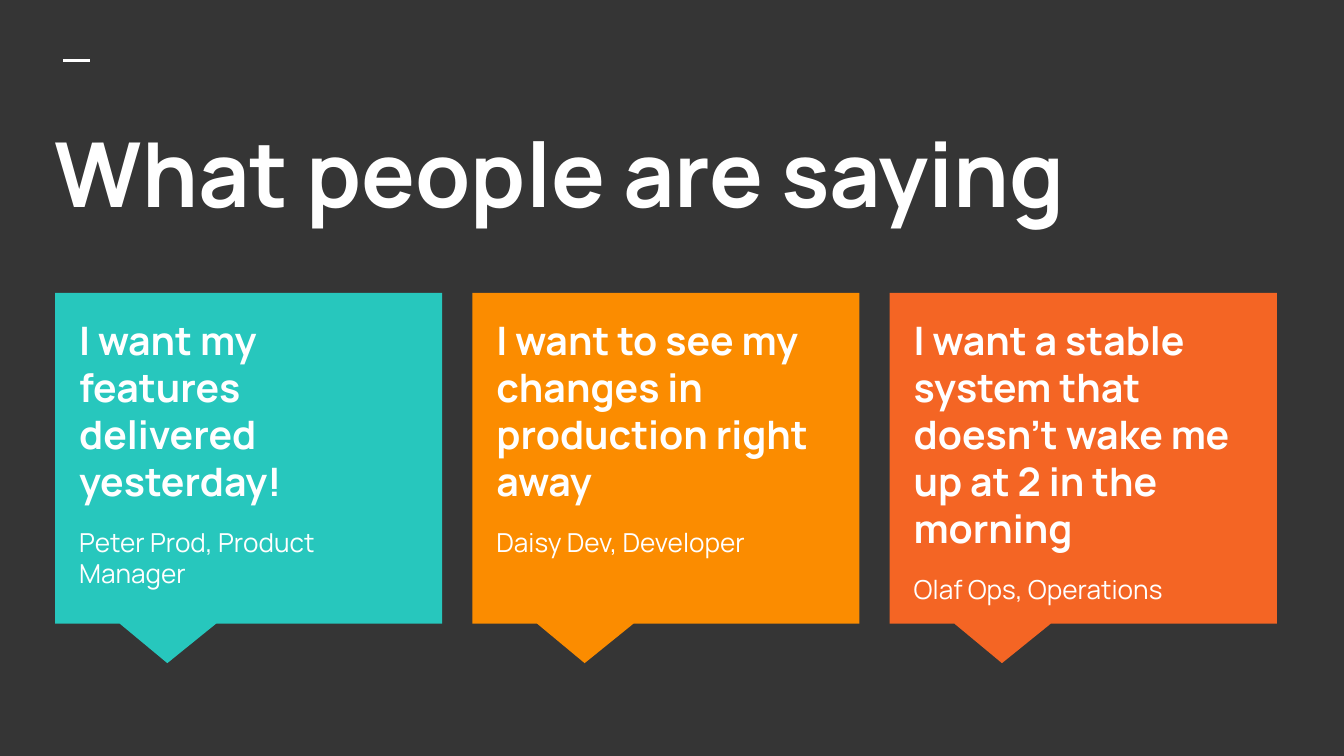
from dataclasses import dataclass

import pptx
import pptx.dml.color
import pptx.enum.shapes
import pptx.enum.text
import pptx.oxml.ns
import pptx.util
from lxml import etree

Inches = pptx.util.Inches
Pt = pptx.util.Pt
RGBColor = pptx.dml.color.RGBColor

CHARCOAL = RGBColor(0x35, 0x35, 0x35)
WHITE = RGBColor(0xFF, 0xFF, 0xFF)
TEAL = RGBColor(0x27, 0xC7, 0xBD)
AMBER = RGBColor(0xFB, 0x8C, 0x00)
ORANGE = RGBColor(0xF4, 0x65, 0x24)

FONT = "Manrope"
FIRST_LEFT = 0.41
LAST_LEFT = 6.62
CARD_TOP = 2.18
TEXT_INSET = 0.08


@dataclass
class Quote:
    words: str
    speaker: str
    color: RGBColor


QUOTES = [
    Quote("I want my features delivered yesterday!", "Peter Prod, Product Manager", TEAL),
    Quote("I want to see my changes in production right away", "Daisy Dev, Developer", AMBER),
    Quote("I want a stable system that doesn’t wake me up at 2 in the morning",
          "Olaf Ops, Operations", ORANGE),
]
CARD_STEP = (LAST_LEFT - FIRST_LEFT) / (len(QUOTES) - 1)


def add_text(page, left: float, top: float, width: float, height: float, text: str):
    box = page.shapes.add_textbox(Inches(left), Inches(top), Inches(width), Inches(height))
    frame = box.text_frame
    frame.word_wrap = True
    frame.vertical_anchor = pptx.enum.text.MSO_ANCHOR.TOP
    frame.margin_left = frame.margin_right = Inches(0.1)
    frame.margin_top = frame.margin_bottom = Inches(0.1)
    frame.text = text
    return frame


def style_paragraph(para, size: float, bold: bool) -> None:
    for span in para.runs:
        span.font.name = FONT
        span.font.size = Pt(size)
        span.font.bold = bold
        span.font.color.rgb = WHITE


def add_accent(page) -> None:
    accent = page.shapes.add_connector(
        pptx.enum.shapes.MSO_CONNECTOR.STRAIGHT,
        Inches(0.47), Inches(0.45), Inches(0.67), Inches(0.45))
    accent.line.color.rgb = WHITE
    accent.line.width = Pt(1.5)
    etree.SubElement(accent._element.spPr, pptx.oxml.ns.qn("a:effectLst"))


def add_title(page) -> None:
    frame = add_text(page, 0.31, 0.78, 9.43, 1.12, "What people are saying")
    style_paragraph(frame.paragraphs[0], 48, True)


def add_callout(page, quote: Quote, left: float) -> None:
    callout = page.shapes.add_shape(
        pptx.enum.shapes.MSO_SHAPE.RECTANGULAR_CALLOUT,
        Inches(left), Inches(CARD_TOP), Inches(2.88), Inches(2.46))
    callout.adjustments[0] = -0.21
    callout.adjustments[1] = 0.62
    callout.shadow.inherit = False
    callout.fill.solid()
    callout.fill.fore_color.rgb = quote.color
    callout.line.fill.background()


def add_quote(page, quote: Quote, left: float) -> None:
    add_callout(page, quote, left)
    frame = add_text(page, left + TEXT_INSET, CARD_TOP + 0.07, 2.71, 2.19,
                     f"{quote.words}\n{quote.speaker}")
    words, speaker = frame.paragraphs
    style_paragraph(words, 21, True)
    style_paragraph(speaker, 14, False)
    speaker.space_before = speaker.space_after = Pt(12)


def main() -> None:
    deck = pptx.Presentation()
    deck.slide_width = Inches(10)
    deck.slide_height = Inches(10 * 9 / 16)
    page = deck.slides.add_slide(deck.slide_layouts[6])
    page.background.fill.solid()
    page.background.fill.fore_color.rgb = CHARCOAL
    add_accent(page)
    add_title(page)
    for index, quote in enumerate(QUOTES):
        add_quote(page, quote, FIRST_LEFT + index * CARD_STEP)
    deck.save("out.pptx")


if __name__ == "__main__":
    main()
